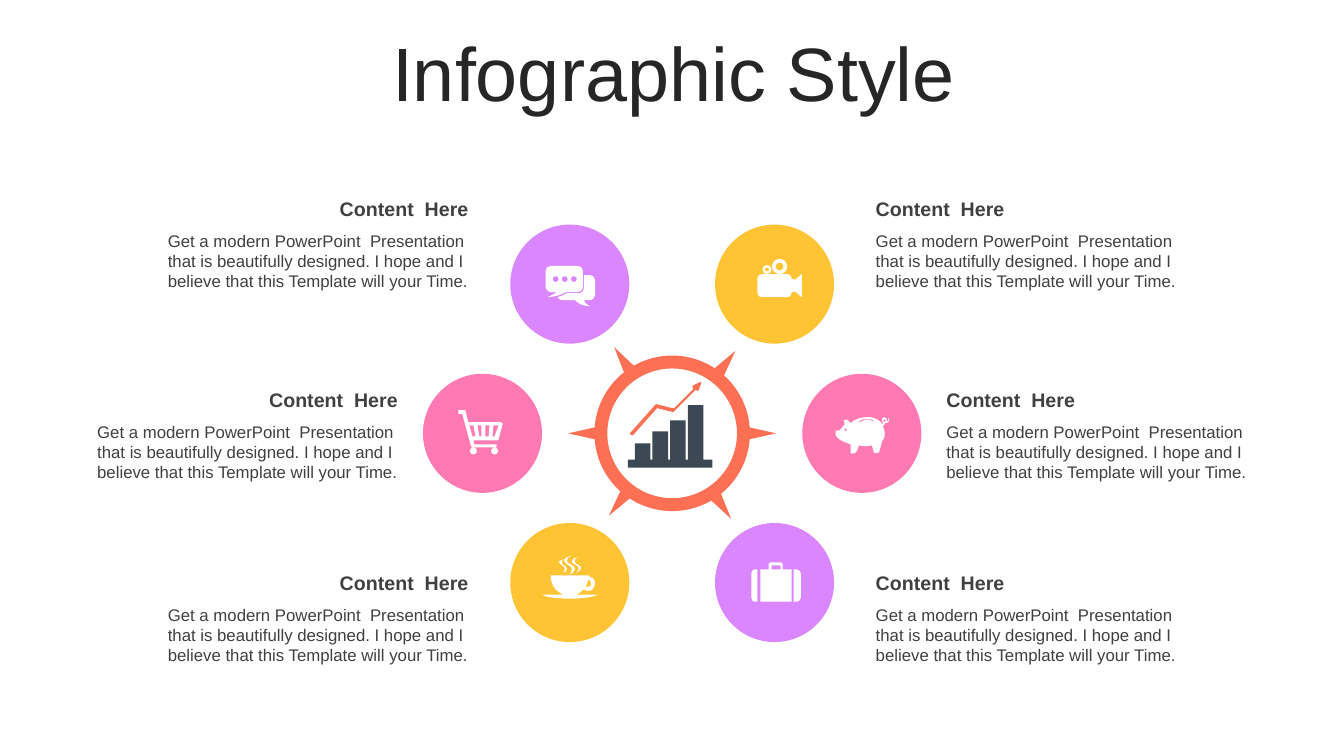
from dataclasses import dataclass
from math import cos, radians, sin

from pptx import Presentation
from pptx.dml.color import RGBColor
from pptx.enum import shapes, text
from pptx.oxml.ns import qn
from pptx.util import Cm, Pt


@dataclass(frozen=True)
class Theme:
    font: str = "Arial"
    ink: str = "262626"
    body: str = "404040"
    coral: str = "FE7054"
    slate: str = "3C4955"
    gold: str = "FEC434"
    pink: str = "FF79B2"
    lilac: str = "DA87FF"
    white: str = "FFFFFF"
    big: int = 54
    mid: int = 14
    small: int = 12


def oval(x, y, r):
    k = 0.55 * r
    return [(x + r, y), (x + r, y + k, x + k, y + r, x, y + r),
            (x - k, y + r, x - r, y + k, x - r, y),
            (x - r, y - k, x - k, y - r, x, y - r),
            (x + k, y - r, x + r, y - k, x + r, y)]


def block(x, y, w, h):
    return [(x, y), (x + w, y), (x + w, y + h), (x, y + h)]


T = Theme()
TITLE = "Infographic Style"
HEAD = "Content  Here"
BODY = ("Get a modern PowerPoint  Presentation that is beautifully designed. "
        "I hope and I believe that this Template will your Time.")

CHAT = [
    [(-19, -18), (8, -18), (11, -18, 13, -16, 13, -13), (13, 3), (13, 5, 11, 8, 8, 8),
     (-4, 8), (-10, 11, -12, 12, -22, 13), (-16, 10, -16, 10, -13, 8), (-19, 8),
     (-21, 8, -24, 5, -24, 3), (-24, -13), (-24, -16, -22, -18, -19, -18)],
    [(14, -9), (20, -9), (22, -9, 25, -7, 25, -4), (25, 11), (25, 14, 22, 16, 20, 16),
     (14, 16), (15, 18, 15, 19, 20, 22), (11, 21, 10, 20, 5, 16), (-7, 16),
     (-9, 16, -11, 15, -12, 13), (-9, 12, -6, 11, -3, 9), (9, 9), (12, 9, 14, 7, 14, 4)],
    *[oval(x, -5, 3) for x in (-14, -5, 4)],
]
FILM = [
    [(-13, -10), (13, -10), (15, -10, 17, -8, 17, -6), (17, 9), (17, 11, 15, 13, 13, 13),
     (-13, 13), (-15, 13, -17, 11, -17, 9), (-17, -6), (-17, -8, -15, -10, -13, -10)],
    [(17, -5), (19, -5), (20, -4), (27, -10), (27, 13), (20, 7), (19, 8), (17, 8)],
    oval(5, -17.5, 7.5), oval(5, -17.5, 4), oval(-7.5, -14.5, 4.5), oval(-7.5, -14.5, 2),
]
CART = [
    [(-17, -23), (-14, -11), (18, -11), (20, -11, 20, -10, 20, -9), (16, 6),
     (16, 7, 15, 7, 14, 7), (-9, 7), (-8, 11), (14, 11), (14, 14), (-11, 14),
     (-20, -19), (-24, -19), (-24, -23)],
    [(11, -8), (10, 3), (12, 3), (16, -8)], [(3, -8), (3, 3), (6, 3), (7, -8)],
    [(-5, -8), (-3, 3), (-1, 3), (-1, -8)], [(-13, -8), (-10, 3), (-7, 3), (-9, -8)],
    oval(-9, 17.5, 3.5), oval(12, 17.5, 3.5),
]
PIG = [
    [(4, -16), (10, -17, 16, -14, 19, -11), (20, -9), (21, -10),
     (20, -11, 20, -11, 20, -13), (20, -15, 21, -16, 22, -16),
     (24, -16, 25, -14, 25, -13), (25, -12), (25, -12, 26, -11, 27, -16),
     (28, -12, 26, -10, 23, -10), (23, -9, 22, -8, 21, -7), (22, -4),
     (24, 1, 22, 6, 20, 8), (19, 13, 18, 16, 17, 19), (16, 20, 12, 20, 12, 19),
     (11, 17, 11, 14, 10, 12), (6, 13, 1, 13, -3, 12), (-3, 15, -5, 18, -7, 20),
     (-11, 20), (-11, 11), (-16, 9, -28, 6, -26, -2), (-26, -3, -23, -3, -22, -3),
     (-20, -5, -19, -7, -17, -9), (-17, -10, -18, -13, -18, -13),
     (-14, -15, -13, -12, -11, -10), (-8, -14, 0, -16, 4, -16)],
    [(4, -14), (2, -14, -1, -14, -3, -12), (-2, -11), (2, -14, 7, -14, 11, -12),
     (12, -13), (9, -14, 7, -14, 4, -14)],
    oval(-16, -3.5, 1.5), oval(22.5, -12.5, 1.5),
]
CUP = [
    [(-19, -7), (19, -7), (19, -6), (22, -6, 24, -4, 25, -1), (25, 3, 24, 6, 21, 8),
     (18, 9, 16, 8, 14, 7), (12, 8, 11, 9, 10, 10), (8, 11, 7, 12, 6, 12), (27, 12),
     (26, 14, 14, 16, 0, 16), (-14, 16, -26, 14, -27, 12), (-6, 12),
     (-7, 12, -9, 11, -10, 10), (-16, 7, -19, 0, -19, -7)],
    [(18, -3), (18, 0, 17, 2, 16, 4), (17, 5, 18, 5, 19, 4), (21, 4, 22, 2, 21, 0),
     (21, -1, 20, -3, 18, -3)],
    [(-5, -23), (-7, -22, -9, -22, -8, -20), (-8, -16, -2, -17, -3, -13),
     (-3, -11, -4, -11, -7, -10), (-5, -11, -5, -12, -5, -14),
     (-5, -16, -9, -17, -10, -19), (-12, -21, -10, -22, -5, -23)],
    [(8, -25), (6, -24, 4, -23, 5, -21), (5, -17, 12, -18, 11, -14),
     (10, -11, 9, -11, 6, -10), (8, -11, 9, -12, 9, -14),
     (9, -17, 4, -18, 2, -20), (1, -22, 3, -24, 8, -25)],
    [(2, -27), (-1, -25, -3, -24, -3, -22), (-2, -17, 6, -18, 5, -13),
     (4, -10, 3, -9, -1, -8), (2, -10, 2, -11, 2, -13),
     (2, -17, -3, -17, -5, -20), (-7, -23, -4, -25, 2, -27)],
]
CASE = [
    [(19, -13), (22, -13), (24, -13, 26, -11, 26, -9), (26, 15),
     (26, 17, 24, 19, 22, 19), (19, 19)],
    [(-17, -13), (-20, -13), (-22, -13, -23, -11, -23, -9), (-23, 15),
     (-23, 17, -22, 19, -20, 19), (-17, 19)],
    [(-14, -13), (-6, -13), (-6, -18), (-6, -19, -5, -20, -4, -20), (6, -20),
     (7, -20, 8, -19, 8, -18), (8, -13), (17, -13), (17, 19), (-14, 19)],
    block(-3, -17, 9, 4),
]
BARS = [block(-44, 26, 84, 8)] + [
    block(-37 + 17.5 * i, top, 15.5, 26 - top) for i, top in enumerate((10, -2, -13, -28))]
TREND = [[(-16, -29), (0, -25), (2, -25), (21, -44), (20, -47), (28, -51),
          (29, -50), (26, -42), (23, -43), (2, -22), (1, -21), (-15, -25),
          (-39, 2), (-42, 1), (-42, 0), (-17, -28)]]

HUB = (16.94, 10.92)
UNIT = 0.0254
DISC = 3.0
WIDE = 8.08
ROWS = [
    (-3.76, 2.58, 4.88, 4.83, (CHAT, T.lilac), (FILM, T.gold)),
    (0, 4.78, 6.66, 9.63, (CART, T.pink), (PIG, T.pink)),
    (3.76, 2.58, 4.88, 14.25, (CUP, T.gold), (CASE, T.lilac)),
]
TURNS = (0, 55.4, 127.5, 180, 236.1, 307.5)


def paint(shape, color):
    shape.shadow.inherit = False
    shape.fill.solid()
    shape.fill.fore_color.rgb = RGBColor.from_string(color)
    shape.line.fill.background()


def ring(kind, x, y, size, color):
    shape = slide.shapes.add_shape(kind, Cm(x - size / 2), Cm(y - size / 2), Cm(size), Cm(size))
    paint(shape, color)
    return shape


def draw(paths, x, y, color, unit=UNIT):
    pen = None
    for path in paths:
        dots = [(Cm(x + step[i] * unit), Cm(y + step[i + 1] * unit))
                for step in path for i in range(0, len(step), 2)]
        if pen is None:
            pen = slide.shapes.build_freeform(*dots[0])
        else:
            pen.move_to(*dots[0])
        pen.add_line_segments(dots[1:], close=True)
    shape = pen.convert_to_shape()
    paint(shape, color)
    nodes = iter(list(shape._element.iter(qn("a:lnTo"))))
    for step in (s for path in paths for s in path[1:]):
        node = next(nodes)
        if len(step) == 6:
            node.tag = qn("a:cubicBezTo")
            for extra in (next(nodes), next(nodes)):
                node.append(extra[0])
                extra.getparent().remove(extra)


def write(words, at, box=None, size=T.small, color=T.body, bold=False,
          align=text.PP_ALIGN.LEFT, anchor=text.MSO_ANCHOR.TOP, space=1.0):
    spot = [Cm(v) for v in at]
    box = box or slide.shapes.add_textbox(*spot)
    box.left, box.top, box.width, box.height = spot
    frame = box.text_frame
    frame.text = words
    frame.word_wrap = True
    frame.auto_size = text.MSO_AUTO_SIZE.NONE
    frame.vertical_anchor = anchor
    para = frame.paragraphs[0]
    para.alignment, para.line_spacing = align, space
    font = para.runs[0].font
    font.name, font.size, font.bold = T.font, Pt(size), bold
    font.color.rgb = RGBColor.from_string(color)


deck = Presentation()
deck.slide_width, deck.slide_height = Cm(33.87), Cm(19.05)
slide = deck.slides.add_slide(deck.slide_layouts[5])
middle = text.MSO_ANCHOR.MIDDLE
write(TITLE, (0.9, 0.95, 32.15, 2), box=slide.shapes.title, size=T.big, color=T.ink,
      align=text.PP_ALIGN.CENTER, anchor=middle, space=0.9)
ring(shapes.MSO_SHAPE.DONUT, *HUB, 3.92, T.coral).adjustments[0] = 0.083
spikes = [[(r * cos(radians(turn + d)), r * sin(radians(turn + d)))
           for r, d in ((1.82, -5.7), (2.62, 0), (1.82, 5.7))] for turn in TURNS]
draw(spikes, *HUB, T.coral, unit=1)
draw(BARS, *HUB, T.slate)
draw(TREND, *HUB, T.coral)
for dy, reach, gap, top, *pair in ROWS:
    for side, (icon, color) in zip((-1, 1), pair):
        x, y = HUB[0] + side * reach, HUB[1] + dy
        ring(shapes.MSO_SHAPE.OVAL, x, y, DISC, color)
        draw(icon, x, y, T.white)
        left = HUB[0] + gap if side > 0 else HUB[0] - gap - WIDE
        align = text.PP_ALIGN.LEFT if side > 0 else text.PP_ALIGN.RIGHT
        write(HEAD, (left, top, WIDE, 0.86), size=T.mid, bold=True, align=align, anchor=middle)
        write(BODY, (left, top + 0.86, WIDE, 1.8))

deck.save("out.pptx")
